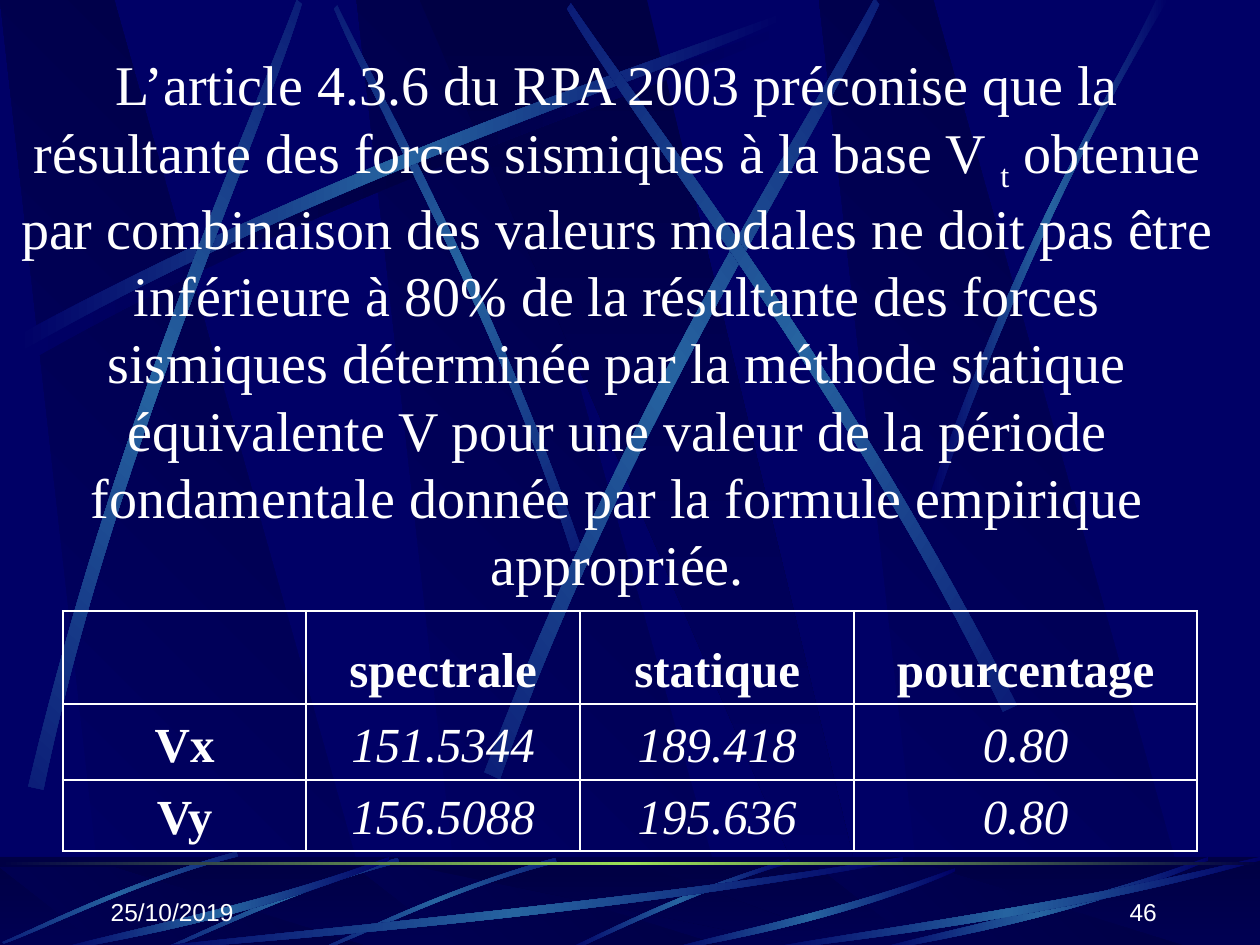
from dataclasses import dataclass

from pptx import Presentation
from pptx.dml.color import RGBColor
from pptx.enum.shapes import MSO_SHAPE
from pptx.enum.text import MSO_ANCHOR, PP_ALIGN
from pptx.oxml import parse_xml
from pptx.oxml.ns import nsdecls, qn
from pptx.util import Inches, Pt

RECT = MSO_SHAPE.RECTANGLE
LEFT, CENTER, RIGHT = PP_ALIGN.LEFT, PP_ALIGN.CENTER, PP_ALIGN.RIGHT
MIDDLE, BOTTOM = MSO_ANCHOR.MIDDLE, MSO_ANCHOR.BOTTOM
W, H = Inches(10), Inches(7.5)

COLORS = {"navy": "000066", "dark": "000044", "blue": "2663A0",
          "lime": "9CE157", "white": "FFFFFF"}

GRADS = {
    "slab": (("navy", "dark"), 315),
    "beam": (("dark", "navy"), 90),
    "shade": (("navy", "dark", "navy"), 0),
    "glow": (("navy", "blue", "navy"), 0),
    "rule": (("dark", "lime", "dark"), 0),
}

POLYGONS = {
    "slab": [(0.28, 1), (1, 1), (0.3, 0), (0, 0)],
    "beam": [(0, 0), (0.9, 1), (1, 1), (0.5, 0)],
}

CURVES = {
    "swoop": [(0, 0.96), (0.43, 0.43), (0.83, 0.15), (1, 0),
              (1, 0.02), (0.84, 0.19), (0.39, 0.5), (0.01, 1)],
    "edge": [(0, 0.99), (0.4, 0.44), (0.79, 0.17), (0.95, 0),
             (1, 0), (0.52, 0.37), (0.16, 0.81), (0.03, 1)],
    "spur": [(0.99, 0), (0.49, 0.37), (0.16, 0.82), (0, 0.99),
             (0.03, 1), (0.23, 0.77), (0.68, 0.25), (1, 0.04)],
    "sweep": [(1, 0.04), (0.65, 0.57), (0.26, 0.85), (0.01, 1),
              (0, 0.99), (0.17, 0.81), (0.62, 0.51), (1, 0)],
}


@dataclass
class Box:
    left: float
    top: float
    width: float
    height: float

    def emu(self) -> tuple[int, int, int, int]:
        return (int(W * self.left / 100), int(H * self.top / 100),
                int(W * self.width / 100), int(H * self.height / 100))


@dataclass
class Piece:
    outline: str
    box: Box
    grad: str = "glow"
    rotation: float = 0
    flip: bool = False


@dataclass
class Label:
    box: Box
    runs: list[tuple[str, int]]
    size: int
    font: str
    align: PP_ALIGN
    anchor: MSO_ANCHOR


def panels(top: float, height: float) -> list[Piece]:
    slabs = [Piece("slab", Box(x, top, 30.2, height), "slab") for x in (28.3, 0, 65)]
    return slabs + [Piece("beam", Box(33.3, top, 36.1, height), "beam")]


BACKDROP = panels(0, 100.2) + [
    Piece("swoop", Box(2, 2.4, 60.8, 35.6), "shade"),
    Piece("swoop", Box(14.1, 18, 44.2, 23.33), rotation=45, flip=True),
    Piece("swoop", Box(1.4, 1.33, 60.8, 35.6)),
    Piece("swoop", Box(-17.1, 24.27, 60.8, 35.6), rotation=311.7),
    Piece("swoop", Box(23.1, 21.33, 62.4, 40.13), rotation=321.6),
    Piece("swoop", Box(32.3, 20.27, 60.8, 35.6), rotation=34.7, flip=True),
    Piece("edge", Box(73.8, 0, 18.9, 52.93)),
]
FLOOR = Box(0, 90.67, 100, 10)
FLOOR_STREAKS = [Piece("spur", Box(44.8, 90.93, 18, 9.73))] + [
    Piece("swoop", Box(x, y, 18.2, 11.2), rotation=315, flip=True)
    for x, y in ((25.8, 90.13), (13.3, 90.13), (0.5, 89.47))
] + [
    Piece("sweep", Box(x, 100.67 - h, w, h))
    for x, w, h in ((10, 61.7, 10), (4.2, 26.7, 10), (52.7, 23.1, 8.8),
                    (69.2, 26.7, 10), (60, 40, 10))
]

LABELS = [
    Label(Box(7.8, 92, 20.8, 6.67), [("25/10/2019", 0)], 14, "Arial", LEFT, BOTTOM),
    Label(Box(72, 92, 20.8, 6.67), [("46", 0)], 14, "Arial", RIGHT, BOTTOM),
    Label(Box(0.35, 5.15, 97.3, 58.13), [
        ("L’article 4.3.6 du RPA 2003 préconise que la résultante des forces "
         "sismiques à la base V ", 0),
        ("t", -25000),
        (" obtenue par combinaison des valeurs modales ne doit pas être inférieure "
         "à 80% de la résultante des forces sismiques déterminée par la méthode "
         "statique équivalente V pour une valeur de la période fondamentale donnée "
         "par la formule empirique appropriée.", 0),
    ], 32, "Times New Roman", CENTER, MIDDLE),
]

TABLE_BOX = Box(5, 64.67, 90, 25.4)
COLUMNS = (19.3, 21.75, 21.75, 27.2)
ROWS = (9.82, 8.03, 7.55)
CELLS = [
    ("", "spectrale", "statique", "pourcentage"),
    ("Vx", "151.5344", "189.418", "0.80"),
    ("Vy", "156.5088", "195.636", "0.80"),
]


def rgb(name: str) -> RGBColor:
    return RGBColor.from_string(COLORS[name])


def paint(s, grad: str) -> None:
    names, angle = GRADS[grad]
    s.shadow.inherit = False
    s.line.fill.background()
    s.fill.gradient()
    fill = s._element.spPr.find(qn("a:gradFill"))
    stops = fill.find(qn("a:gsLst"))
    for stop in list(stops):
        stops.remove(stop)
    for i, name in enumerate(names):
        pos = 100000 * i // (len(names) - 1)
        stops.append(parse_xml(f'<a:gs {nsdecls("a")} pos="{pos}">'
                               f'<a:srgbClr val="{COLORS[name]}"/></a:gs>'))
    fill.find(qn("a:lin")).set("ang", str(angle * 60000))


def bend(s) -> None:
    lines = list(s._element.spPr.iter(qn("a:lnTo")))
    for trio in (lines[:3], lines[4:7]):
        curve = parse_xml(f'<a:cubicBezTo {nsdecls("a")}/>')
        trio[0].addprevious(curve)
        for line in trio:
            curve.append(line[0])
            line.getparent().remove(line)


def draw_piece(shapes, piece: Piece) -> None:
    curved = piece.outline in CURVES
    unit = (CURVES if curved else POLYGONS)[piece.outline]
    x, y, w, h = piece.box.emu()
    pts = [(int(x + w * (1 - u if piece.flip else u)), int(y + h * v)) for u, v in unit]
    fb = shapes.build_freeform(*pts[0])
    fb.add_line_segments(pts[1:], close=True)
    s = fb.convert_to_shape()
    if curved:
        bend(s)
    s.rotation = piece.rotation
    paint(s, piece.grad)


def draw_veil(shapes, box: Box) -> None:
    s = shapes.add_shape(RECT, *box.emu())
    s.shadow.inherit = False
    s.line.fill.background()
    s.fill.solid()
    s.fill.fore_color.rgb = rgb("dark")
    color = s._element.spPr.find(qn("a:solidFill"))[0]
    color.append(parse_xml(f'<a:alpha {nsdecls("a")} val="50000"/>'))


def add_run(p, text: str, **fmt) -> None:
    r = p.add_run()
    r.text = text
    r.font.color.rgb = rgb("white")
    for key, value in fmt.items():
        setattr(r.font, key, value)


def draw_label(shapes, label: Label) -> None:
    tf = shapes.add_textbox(*label.box.emu()).text_frame
    tf.word_wrap = True
    tf.vertical_anchor = label.anchor
    p = tf.paragraphs[0]
    p.alignment = label.align
    for text, baseline in label.runs:
        add_run(p, text, size=Pt(label.size), name=label.font)
        if baseline:
            p.runs[-1]._r.get_or_add_rPr().set("baseline", str(baseline))


def draw_cell(cell, text: str, header: bool) -> None:
    cell.vertical_anchor = BOTTOM
    cell.fill.background()
    for i, side in enumerate(("lnL", "lnR", "lnT", "lnB")):
        cell._tc.get_or_add_tcPr().insert(i, parse_xml(
            f'<a:{side} {nsdecls("a")} w="{Pt(1.5)}"><a:solidFill>'
            f'<a:srgbClr val="{COLORS["white"]}"/></a:solidFill></a:{side}>'))
    if text:
        p = cell.text_frame.paragraphs[0]
        p.alignment = CENTER
        add_run(p, text, size=Pt(28), name="Times New Roman",
                bold=header, italic=not header)


def draw_table(shapes) -> None:
    table = shapes.add_table(len(ROWS), len(COLUMNS), *TABLE_BOX.emu()).table
    table.first_row = table.horz_banding = False
    for col, share in zip(table.columns, COLUMNS):
        col.width = int(W * share / 100)
    for i, (row, share) in enumerate(zip(table.rows, ROWS)):
        row.height = int(H * share / 100)
        for j, text in enumerate(CELLS[i]):
            draw_cell(table.cell(i, j), text, i == 0 or j == 0)


def main() -> None:
    prs = Presentation()
    prs.slide_width, prs.slide_height = W, H
    slide = prs.slides.add_slide(prs.slide_layouts[6])
    slide.background.fill.solid()
    slide.background.fill.fore_color.rgb = rgb("navy")
    shapes = slide.shapes
    for piece in BACKDROP:
        draw_piece(shapes, piece)
    paint(shapes.add_shape(RECT, *FLOOR.emu()), "beam")
    for piece in panels(91.8, 8.8):
        draw_piece(shapes, piece)
    draw_veil(shapes, FLOOR)
    for piece in FLOOR_STREAKS:
        draw_piece(shapes, piece)
    paint(shapes.add_shape(RECT, *Box(0, 91.2, 100, 0.3).emu()), "rule")
    for label in LABELS:
        draw_label(shapes, label)
    draw_table(shapes)
    prs.save("out.pptx")


if __name__ == "__main__":
    main()
